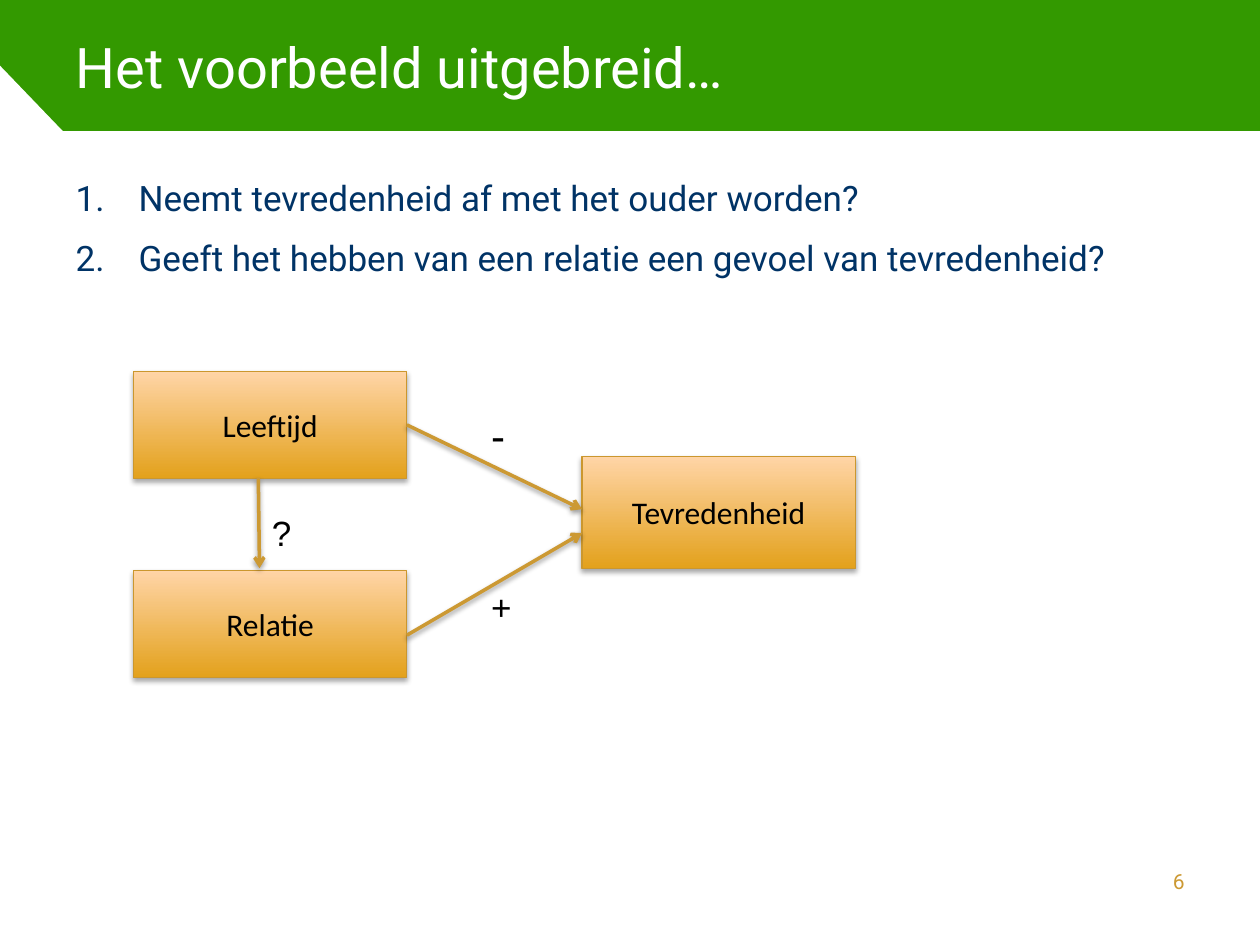
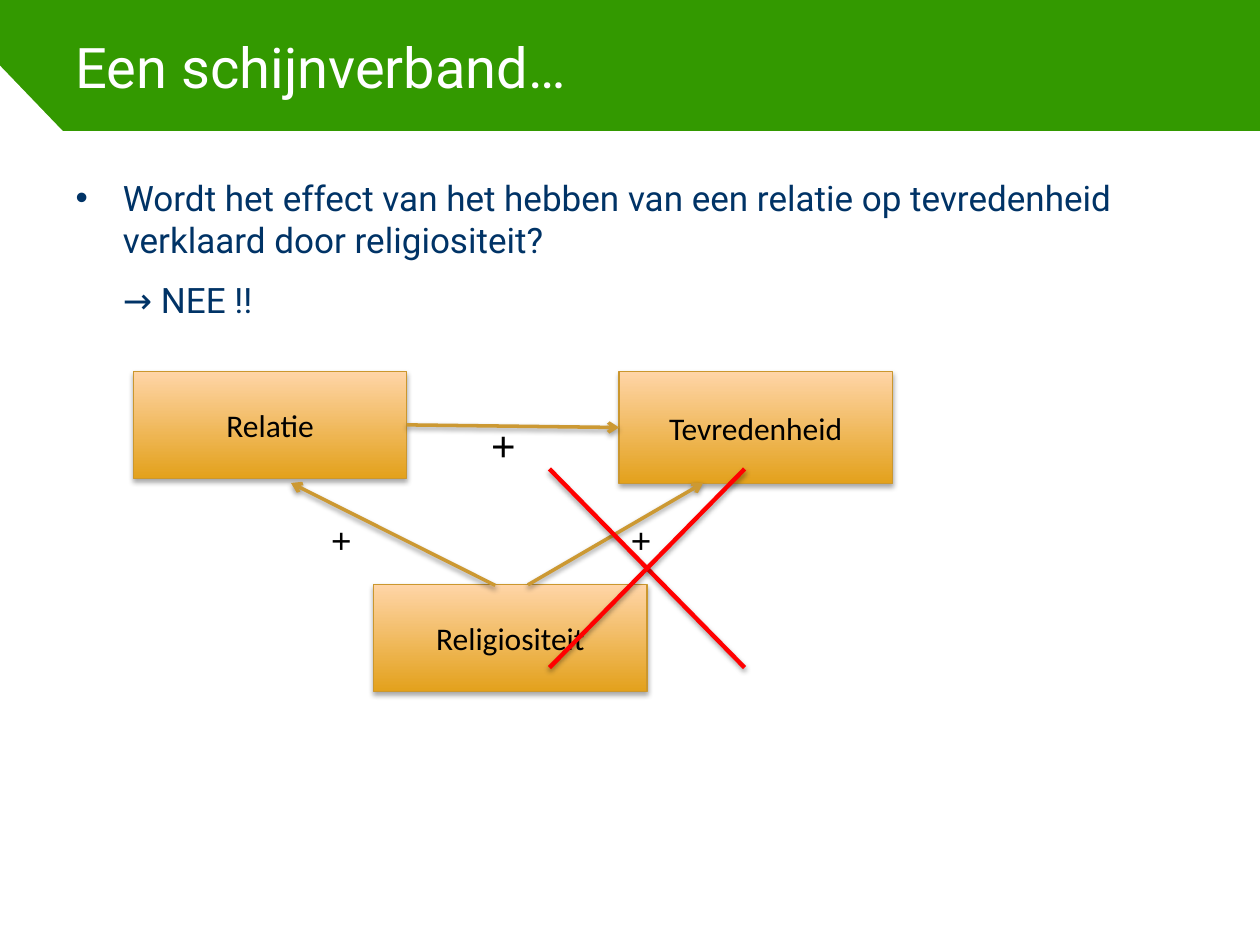
from dataclasses import dataclass
from typing import Any, Optional

import pptx
import pptx.dml.color
import pptx.enum.dml
import pptx.enum.shapes
import pptx.enum.text
import pptx.oxml.ns
import pptx.util
from lxml import etree

Pt = pptx.util.Pt
RGBColor = pptx.dml.color.RGBColor
Align = pptx.enum.text.PP_ALIGN
Anchor = pptx.enum.text.MSO_ANCHOR
qn = pptx.oxml.ns.qn

# Colours
GREEN = RGBColor(0x33, 0x99, 0x00)
WHITE = RGBColor(0xFF, 0xFF, 0xFF)
BLACK = RGBColor(0x00, 0x00, 0x00)
NAVY = RGBColor(0x00, 0x33, 0x66)
GOLD = RGBColor(0xCC, 0x99, 0x33)
BOX_EDGE = RGBColor(0xCB, 0x97, 0x2E)
BOX_DARK = RGBColor(0xE3, 0xA1, 0x1C)
BOX_LIGHT = RGBColor(0xFF, 0xD5, 0xA7)
RED = RGBColor(0xFF, 0x00, 0x00)

# Shared measures, in points
SLIDE_WIDTH, SLIDE_HEIGHT = 720, 540
MARGIN, BAND_HEIGHT = 36, 75
BOX_WIDTH = 156.2
TOP, RIGHT, BOTTOM, LEFT = 0, 3, 2, 1


@dataclass(frozen=True)
class TextStyle:
    name: str
    size: float
    color: RGBColor
    alignment: Align = Align.LEFT


TITLE_STYLE = TextStyle("Roboto", 32, WHITE)
BODY_STYLE = TextStyle("Roboto", 20, NAVY)
NUMBER_STYLE = TextStyle("Roboto", 12, GOLD, Align.RIGHT)
BOX_STYLE = TextStyle("Calibri", 18, BLACK, Align.CENTER)
SIGN_STYLE = TextStyle("Arial", 20, BLACK)
LARGE_SIGN_STYLE = TextStyle("Arial", 24, BLACK)


@dataclass(frozen=True)
class ListItem:
    text: str
    indent: float
    bullet: Optional[tuple[str, dict[str, str]]] = None


@dataclass(frozen=True)
class Box:
    text: str
    left: float
    top: float
    height: float = 61


@dataclass(frozen=True)
class Sign:
    text: str
    left: float
    top: float
    style: TextStyle = SIGN_STYLE


@dataclass(frozen=True)
class Link:
    start: tuple[float, float]
    end: tuple[float, float]
    begin_at: Optional[tuple[str, int]] = None
    end_at: Optional[tuple[str, int]] = None
    color: RGBColor = GOLD
    width: float = 2
    arrow: bool = True


@dataclass(frozen=True)
class SlideContent:
    title: str
    items: list[ListItem]
    boxes: list[Box]
    signs: list[Sign]
    links: list[Link]
    number: str = ""


def set_format(target: Any, values: dict[str, Any]) -> None:
    for attribute, value in values.items():
        setattr(target, attribute, value)


def place(shape: Any, left: float, top: float, width: float, height: float) -> None:
    set_format(shape, {"left": Pt(left), "top": Pt(top),
                       "width": Pt(width), "height": Pt(height)})


def write(paragraph: Any, text: str, style: TextStyle) -> None:
    run = paragraph.add_run()
    run.text = text
    paragraph.alignment = style.alignment
    set_format(run.font, {"name": style.name, "size": Pt(style.size)})
    run.font.color.rgb = style.color


def add_shadow(shape: Any, distance: float, opacity: int) -> None:
    properties = shape._element.spPr
    effects = etree.SubElement(properties, qn("a:effectLst"))
    shadow = etree.SubElement(effects, qn("a:outerShdw"), {
        "blurRad": str(Pt(3.1)), "dist": str(Pt(distance)),
        "dir": "5400000", "rotWithShape": "0"})
    color = etree.SubElement(shadow, qn("a:srgbClr"), val=str(BLACK))
    etree.SubElement(color, qn("a:alpha"), val=str(opacity * 1000))


def add_text_box(slide: Any, left: float, top: float, width: float, height: float,
                 text: str, style: TextStyle) -> None:
    shape = slide.shapes.add_textbox(Pt(left), Pt(top), Pt(width), Pt(height))
    shape.text_frame.word_wrap = True
    write(shape.text_frame.paragraphs[0], text, style)


def add_title(slide: Any, text: str) -> None:
    title = slide.shapes.title
    place(title, MARGIN, 0, SLIDE_WIDTH - 2 * MARGIN, BAND_HEIGHT)
    set_format(title.text_frame, {"vertical_anchor": Anchor.MIDDLE,
                                  "auto_size": pptx.enum.text.MSO_AUTO_SIZE.NONE})
    write(title.text_frame.paragraphs[0], text, TITLE_STYLE)


def add_list(slide: Any, items: list[ListItem]) -> None:
    body = slide.placeholders[1]
    place(body, MARGIN, 97, SLIDE_WIDTH - 2 * MARGIN, 369)
    frame = body.text_frame
    frame.auto_size = pptx.enum.text.MSO_AUTO_SIZE.NONE
    for index, item in enumerate(items):
        paragraph = frame.add_paragraph() if index else frame.paragraphs[0]
        write(paragraph, item.text, BODY_STYLE)
        set_format(paragraph, {"space_before": Pt(4.7), "space_after": Pt(6)})
        properties = paragraph._p.get_or_add_pPr()
        properties.set("marL", str(Pt(item.indent)))
        properties.set("indent", str(Pt(-item.indent) if item.bullet else 0))
        tag, attributes = item.bullet or ("a:buNone", {})
        etree.SubElement(properties, qn(tag), attributes)


def add_box(slide: Any, box: Box) -> Any:
    shape = slide.shapes.add_shape(
        pptx.enum.shapes.MSO_SHAPE.RECTANGLE,
        Pt(box.left), Pt(box.top), Pt(BOX_WIDTH), Pt(box.height))
    shape.fill.gradient()
    shape.fill.gradient_angle = 90
    for stop, color in zip(shape.fill.gradient_stops, (BOX_DARK, BOX_LIGHT)):
        stop.color.rgb = color
    shape.line.color.rgb = BOX_EDGE
    shape.line.width = Pt(0.75)
    add_shadow(shape, 1.8, 35)
    shape.text_frame.vertical_anchor = Anchor.MIDDLE
    write(shape.text_frame.paragraphs[0], box.text, BOX_STYLE)
    return shape


def add_link(slide: Any, link: Link, boxes: dict[str, Any]) -> None:
    connector = slide.shapes.add_connector(
        pptx.enum.shapes.MSO_CONNECTOR.STRAIGHT,
        *(Pt(value) for value in link.start + link.end))
    if link.begin_at:
        connector.begin_connect(boxes[link.begin_at[0]], link.begin_at[1])
    if link.end_at:
        connector.end_connect(boxes[link.end_at[0]], link.end_at[1])
    connector.line.color.rgb = link.color
    connector.line.width = Pt(link.width)
    if link.arrow:
        line = connector._element.spPr.find(qn("a:ln"))
        etree.SubElement(line, qn("a:tailEnd"), type="arrow")
    add_shadow(connector, 1.6, 38)


def add_master_panel(presentation: Any, slide: Any) -> None:
    """Green master with a white panel whose top left corner is cut."""
    master = presentation.slide_master
    master.background.fill.solid()
    master.background.fill.fore_color.rgb = GREEN
    builder = slide.shapes.build_freeform(Pt(MARGIN), Pt(BAND_HEIGHT))
    corners = [(0, BAND_HEIGHT / 2), (0, SLIDE_HEIGHT),
               (SLIDE_WIDTH, SLIDE_HEIGHT), (SLIDE_WIDTH, BAND_HEIGHT)]
    builder.add_line_segments([(Pt(x), Pt(y)) for x, y in corners], close=True)
    panel = builder.convert_to_shape()
    panel.fill.solid()
    panel.fill.fore_color.rgb = WHITE
    panel.line.fill.background()
    panel.shadow.inherit = False
    panel._element.nvSpPr.cNvPr.set("id", "99")
    master.shapes._spTree.insert(2, panel._element)


def add_content(slide: Any, content: SlideContent) -> None:
    add_title(slide, content.title)
    add_list(slide, content.items)
    boxes = {box.text: add_box(slide, box) for box in content.boxes}
    for sign in content.signs:
        add_text_box(slide, sign.left, sign.top, 31.7, 32, sign.text, sign.style)
    for link in content.links:
        add_link(slide, link, boxes)
    if content.number:
        add_text_box(slide, 623, 492.5, 61, 29, content.number, NUMBER_STYLE)


NUMBERED = ("a:buAutoNum", {"type": "arabicPeriod"})
DOTTED = ("a:buChar", {"char": "•"})

# Red cross over the rejected relation
CROSS_LEFT, CROSS_TOP, CROSS_RIGHT, CROSS_BOTTOM = 314, 268, 425.5, 381.5
CROSS = [
    Link((CROSS_LEFT, start), (CROSS_RIGHT, end), color=RED, width=2.5, arrow=False)
    for start, end in ((CROSS_TOP, CROSS_BOTTOM), (CROSS_BOTTOM, CROSS_TOP))
]

SLIDES = [
    SlideContent(
        title="Het voorbeeld uitgebreid…",
        items=[
            ListItem("Neemt tevredenheid af met het ouder worden?", 36, NUMBERED),
            ListItem("Geeft het hebben van een relatie een gevoel van tevredenheid?",
                     36, NUMBERED),
        ],
        boxes=[Box("Tevredenheid", 332.6, 260.8, 64), Box("Leeftijd", 76.3, 212.3),
               Box("Relatie", 76.3, 326)],
        signs=[Sign("-", 273.6, 230.4, LARGE_SIGN_STYLE), Sign("+", 273.6, 331.2),
               Sign("?", 148.3, 288.7)],
        links=[
            Link((232.5, 242.8), (332.6, 291), begin_at=("Leeftijd", RIGHT)),
            Link((232.5, 363), (332.6, 304.6)),
            Link((147.6, 273), (148.3, 324.7)),
        ],
        number="6",
    ),
    SlideContent(
        title="Een schijnverband…",
        items=[
            ListItem("Wordt het effect van het hebben van een relatie op tevredenheid "
                     "verklaard door religiositeit?", 27, DOTTED),
            ListItem("→ NEE !!", 27),
        ],
        boxes=[Box("Tevredenheid", 353.8, 212.3, 64), Box("Relatie", 76.3, 212.3),
               Box("Religiositeit", 213.6, 334.2)],
        signs=[Sign("+", 273.6, 236.2, LARGE_SIGN_STYLE), Sign("+", 353.5, 293),
               Sign("+", 182.2, 293)],
        links=[
            Link((232.5, 242.8), (353.8, 244.3),
                 begin_at=("Relatie", RIGHT), end_at=("Tevredenheid", LEFT)),
            Link((301.7, 334.2), (401.8, 276)),
            Link((283, 334.5), (166.3, 276)),
            *CROSS,
        ],
    ),
]


def main() -> None:
    presentation = pptx.Presentation()
    set_format(presentation, {"slide_width": Pt(SLIDE_WIDTH),
                              "slide_height": Pt(SLIDE_HEIGHT)})
    layout = presentation.slide_layouts[1]
    for index, content in enumerate(SLIDES):
        slide = presentation.slides.add_slide(layout)
        if index == 0:
            add_master_panel(presentation, slide)
        add_content(slide, content)
    presentation.save("out.pptx")


if __name__ == "__main__":
    main()
